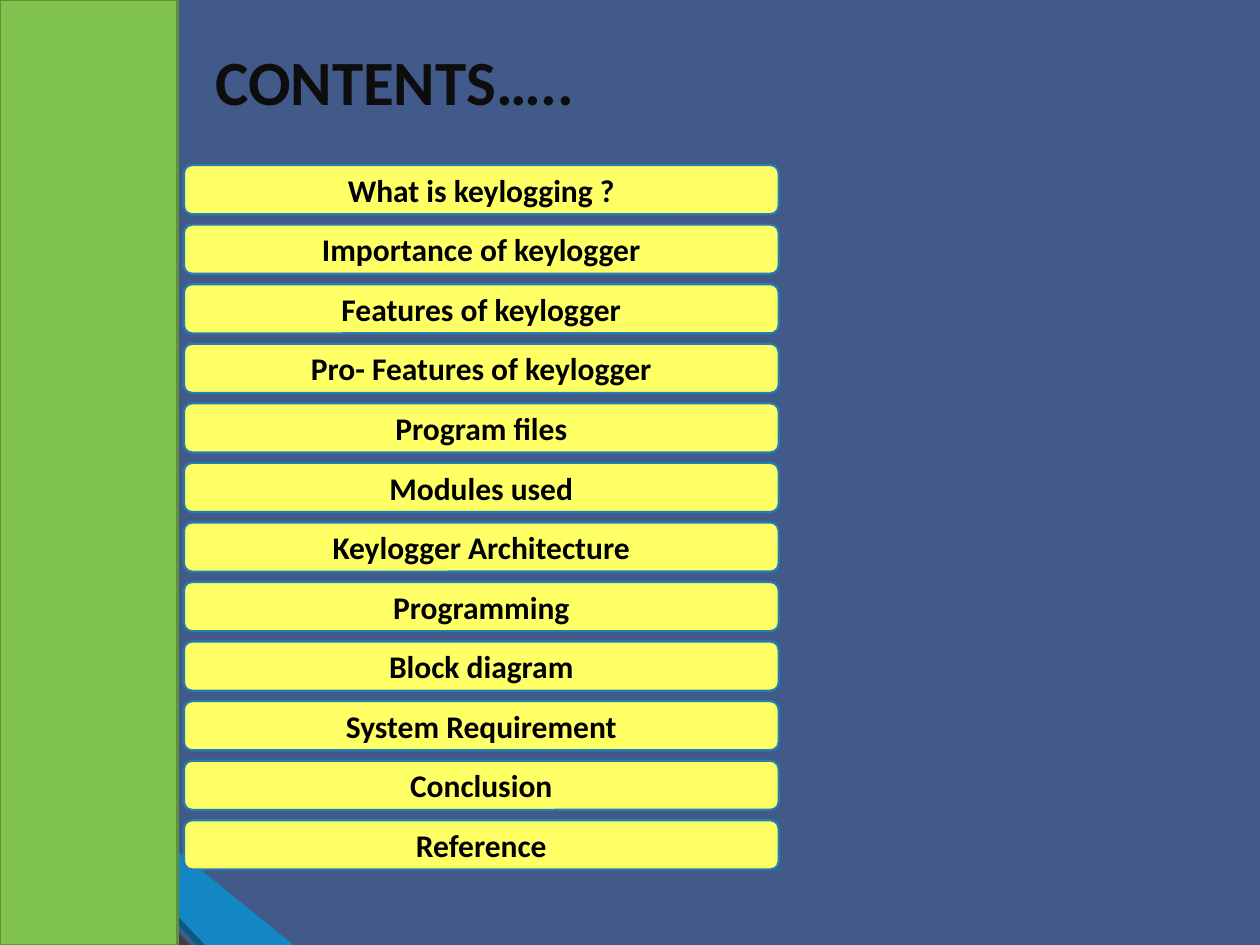
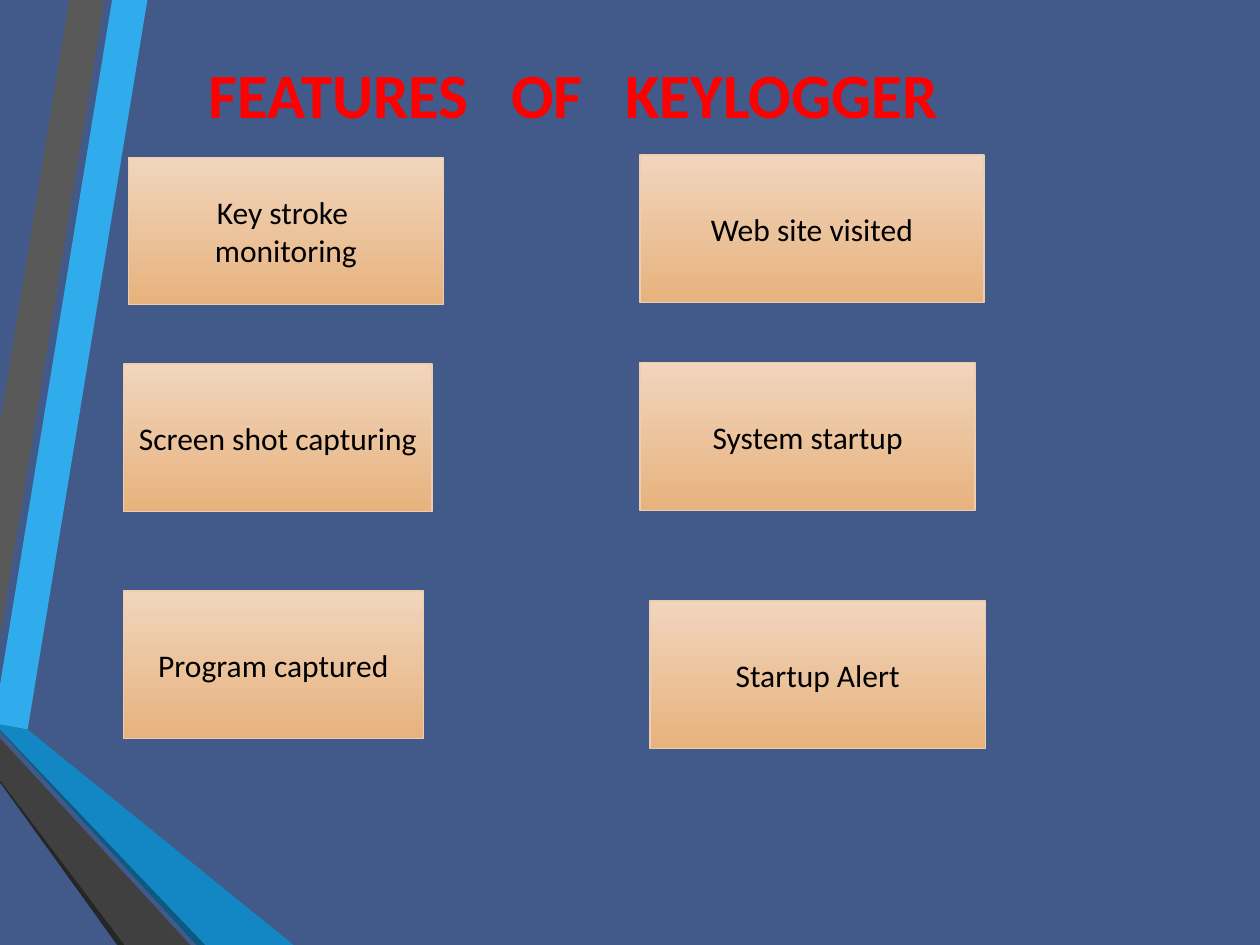
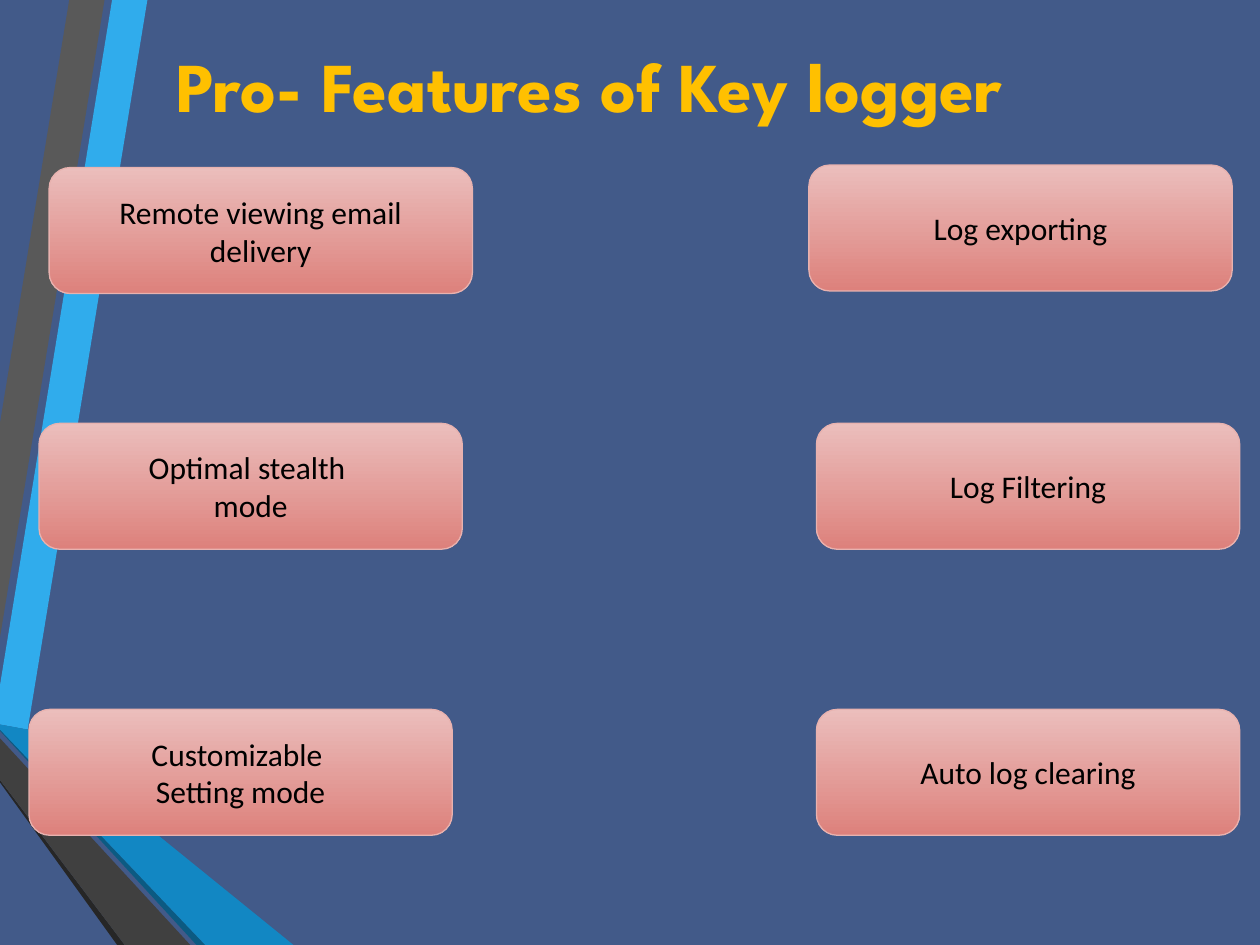
"""Build three slides about keylogging with shared corner bands and box styles."""

from dataclasses import dataclass
from typing import NamedTuple

from pptx import Presentation
from pptx.dml.color import RGBColor
from pptx.enum.shapes import MSO_SHAPE
from pptx.enum.text import MSO_ANCHOR, MSO_AUTO_SIZE, PP_ALIGN
from pptx.shapes.autoshape import Shape
from pptx.slide import Slide
from pptx.text.text import TextFrame
from pptx.util import Inches, Pt

COLOURS = {
    "background": "425A89",
    "light blue": "30ACEC",
    "grey": "595959",
    "black": "262626",
    "deep blue": "0C5A82",
    "blue": "1287C3",
    "dark grey": "404040",
    "green": "80C34F",
    "green edge": "5F903A",
    "yellow": "FFFF66",
    "yellow edge": "247FAF",
    "orange top": "F1D5BD",
    "orange bottom": "E7B27D",
    "orange edge": "EECCAF",
    "rose top": "EBBEBC",
    "rose bottom": "DD817C",
    "rose edge": "E8B2AF",
    "text": "000000",
    "contents title": "0D0D0D",
    "features title": "FF0000",
    "pro title": "FFC000",
}


class Band(NamedTuple):
    colour: str
    points: list[tuple[float, float]]


@dataclass(frozen=True)
class BoxStyle:
    geometry: MSO_SHAPE
    fills: tuple[str, ...]
    edge: str
    edge_width: float
    bold: bool = False


class Box(NamedTuple):
    text: str
    left: float
    top: float
    width: float
    height: float


@dataclass(frozen=True)
class Title:
    text: str
    left: float
    top: float
    width: float
    height: float
    colour: str
    size: int = 36
    font: str = "Calibri"
    wrap: bool = True


BANDS = [
    Band("light blue", [(0, 5.44), (0, 5.75), (0.22, 5.79), (1.17, 0), (0.89, 0)]),
    Band("grey", [(0.83, 0), (0.55, 0), (0, 3.36), (0, 5.06)]),
    Band("black", [(0, 6.19), (0, 6.21), (0.93, 7.5), (0.99, 7.5)]),
    Band("deep blue", [(0, 5.79), (0, 5.8), (1.56, 7.5), (1.63, 7.5)]),
    Band("blue", [(0, 5.79), (1.63, 7.5), (2.33, 7.5), (0.22, 5.79), (0, 5.75)]),
    Band("dark grey", [(0, 6.19), (0.99, 7.5), (1.51, 7.5), (0, 5.86)]),
]

PANEL = BoxStyle(MSO_SHAPE.RECTANGLE, ("green",), "green edge", 1.25)
TOPIC = BoxStyle(MSO_SHAPE.ROUNDED_RECTANGLE, ("yellow",), "yellow edge", 1.25, True)
FEATURE = BoxStyle(MSO_SHAPE.RECTANGLE, ("orange top", "orange bottom"), "orange edge", 0.75)
PRO_FEATURE = BoxStyle(MSO_SHAPE.ROUNDED_RECTANGLE, ("rose top", "rose bottom"), "rose edge", 0.75)

TOPICS = [
    "What is keylogging ?",
    "Importance of keylogger",
    "Features of keylogger",
    "Pro- Features of keylogger",
    "Program files",
    "Modules used",
    "Keylogger Architecture",
    "Programming",
    "Block diagram",
    "System Requirement",
    "Conclusion",
    "Reference",
]
FIRST_TOPIC_TOP, LAST_TOPIC_TOP = 1.31, 6.51
TOPIC_PITCH = (LAST_TOPIC_TOP - FIRST_TOPIC_TOP) / (len(TOPICS) - 1)
TOPIC_BOXES = [
    Box(topic, 1.46, FIRST_TOPIC_TOP + index * TOPIC_PITCH, 4.72, 0.39)
    for index, topic in enumerate(TOPICS)
]

FEATURE_HEIGHT = 1.17
FEATURE_BOXES = [
    Box("Key stroke \nmonitoring", 1.02, 1.25, 2.5, FEATURE_HEIGHT),
    Box("Screen shot capturing", 0.98, 2.89, 2.45, FEATURE_HEIGHT),
    Box("Program captured", 0.98, 4.69, 2.38, FEATURE_HEIGHT),
    Box("Web site visited", 5.08, 1.23, 2.73, FEATURE_HEIGHT),
    Box("System startup", 5.08, 2.88, 2.66, FEATURE_HEIGHT),
    Box("Startup Alert", 5.16, 4.77, 2.66, FEATURE_HEIGHT),
]

PRO_SIZE = (3.36, 1)
PRO_BOXES = [
    Box("Remote viewing email delivery", 0.39, 1.33, *PRO_SIZE),
    Box("Optimal stealth \nmode", 0.31, 3.36, *PRO_SIZE),
    Box("Customizable \nSetting mode", 0.23, 5.63, *PRO_SIZE),
    Box("Log exporting", 6.42, 1.31, *PRO_SIZE),
    Box("Log Filtering", 6.48, 3.36, *PRO_SIZE),
    Box("Auto log clearing", 6.48, 5.63, *PRO_SIZE),
]


def colour(name: str) -> RGBColor:
    """Return the named colour."""
    return RGBColor.from_string(COLOURS[name])


def set_fonts(frame: TextFrame, font: str, size: int, colour_name: str, bold: bool) -> None:
    """Give every paragraph of a text frame the same font."""
    for paragraph in frame.paragraphs:
        paragraph.font.name = font
        paragraph.font.size = Pt(size)
        paragraph.font.bold = bold
        paragraph.font.color.rgb = colour(colour_name)


def add_band(slide: Slide, band: Band) -> None:
    """Draw one corner band as a closed outline."""
    start, *others = [(Inches(x), Inches(y)) for x, y in band.points]
    builder = slide.shapes.build_freeform(*start)
    builder.add_line_segments(others, close=True)
    shape = builder.convert_to_shape()
    shape.shadow.inherit = False
    shape.fill.solid()
    shape.fill.fore_color.rgb = colour(band.colour)
    shape.line.fill.background()


def fill_shape(shape: Shape, fills: tuple[str, ...]) -> None:
    """Fill a shape with one colour, or with two from top to bottom."""
    if len(fills) == 1:
        shape.fill.solid()
        shape.fill.fore_color.rgb = colour(fills[0])
        return
    shape.fill.gradient()
    shape.fill.gradient_angle = 270
    for stop, name in zip(shape.fill.gradient_stops, fills):
        stop.color.rgb = colour(name)


def add_box(slide: Slide, box: Box, style: BoxStyle) -> None:
    """Draw a box with centred text."""
    lengths = [Inches(value) for value in box[1:]]
    shape = slide.shapes.add_shape(style.geometry, *lengths)
    shape.shadow.inherit = False
    fill_shape(shape, style.fills)
    shape.line.color.rgb = colour(style.edge)
    shape.line.width = Pt(style.edge_width)
    if not box.text:
        return
    frame = shape.text_frame
    frame.text = box.text
    frame.word_wrap = True
    frame.vertical_anchor = MSO_ANCHOR.MIDDLE
    set_fonts(frame, "Calibri", 18, "text", style.bold)
    for paragraph in frame.paragraphs:
        paragraph.alignment = PP_ALIGN.CENTER


def add_title(slide: Slide, title: Title) -> None:
    """Write the slide title."""
    frame = slide.shapes.add_textbox(
        Inches(title.left), Inches(title.top), Inches(title.width), Inches(title.height)
    ).text_frame
    frame.text = title.text
    frame.word_wrap = title.wrap
    frame.auto_size = MSO_AUTO_SIZE.SHAPE_TO_FIT_TEXT
    set_fonts(frame, title.font, title.size, title.colour, True)


def add_slide(
    presentation: Presentation, title: Title, boxes: list[Box], style: BoxStyle, panel: bool = False
) -> None:
    """Add a slide with bands, an optional side panel, a title and boxes."""
    slide = presentation.slides.add_slide(presentation.slide_layouts[6])
    for band in BANDS:
        add_band(slide, band)
    if panel:
        add_box(slide, Box("", 0, 0, 1.41, 7.5), PANEL)
    add_title(slide, title)
    for box in boxes:
        add_box(slide, box, style)


def main() -> None:
    """Build and save the presentation."""
    presentation = Presentation()
    presentation.slide_width = Inches(10)
    presentation.slide_height = Inches(7.5)
    background = presentation.slide_master.background.fill
    background.solid()
    background.fore_color.rgb = colour("background")

    contents = Title("CONTENTS…..", 1.61, 0.29, 3.78, 0.71, "contents title")
    features = Title("FEATURES   OF   KEYLOGGER", 1.56, 0.39, 6.59, 0.71, "features title")
    pro_features = Title(
        "Pro- Features of Key logger", 1.3, 0.29, 7.61, 0.77, "pro title", 40, "League Spartan", False
    )
    add_slide(presentation, contents, TOPIC_BOXES, TOPIC, panel=True)
    add_slide(presentation, features, FEATURE_BOXES, FEATURE)
    add_slide(presentation, pro_features, PRO_BOXES, PRO_FEATURE)
    presentation.save("out.pptx")


if __name__ == "__main__":
    main()
